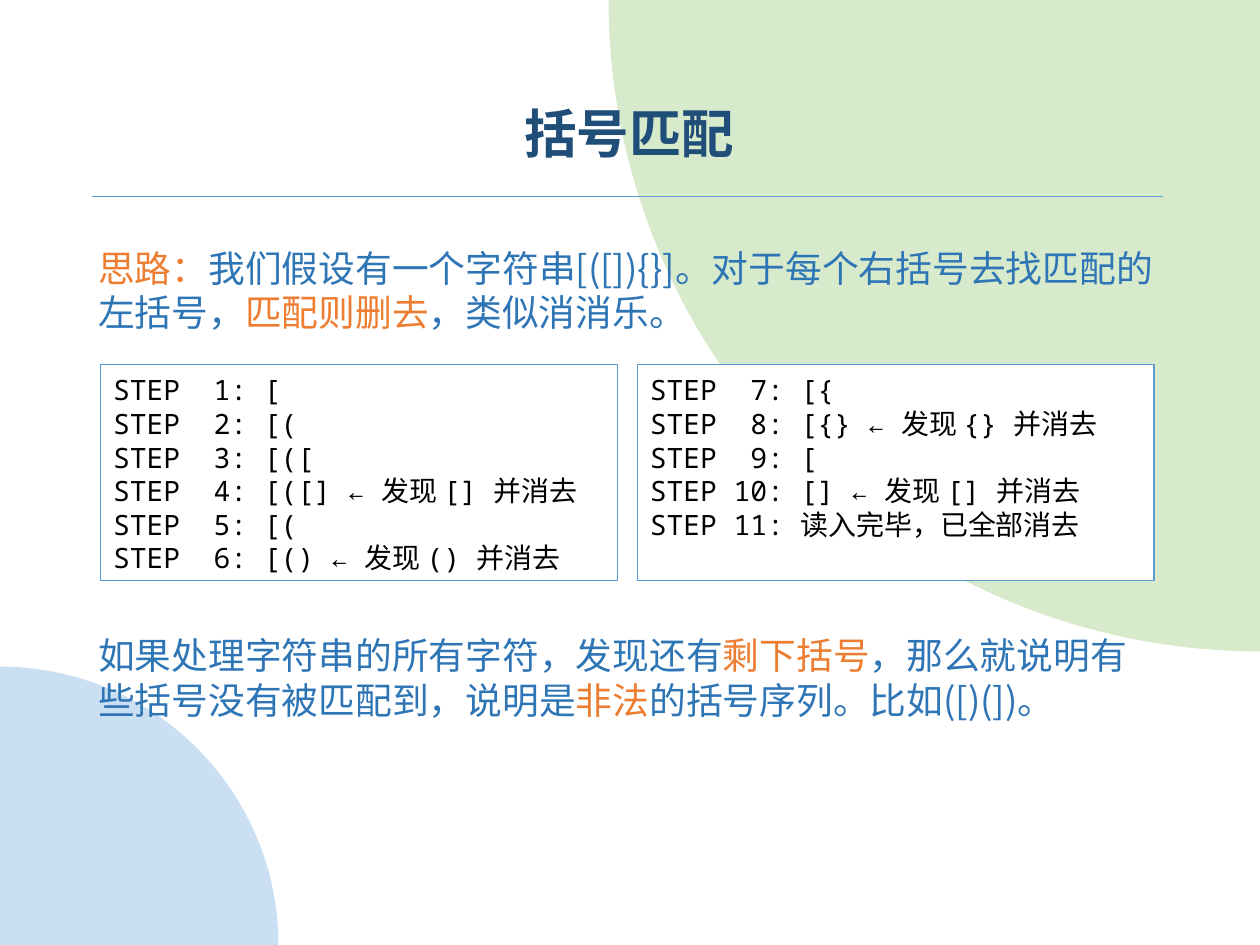
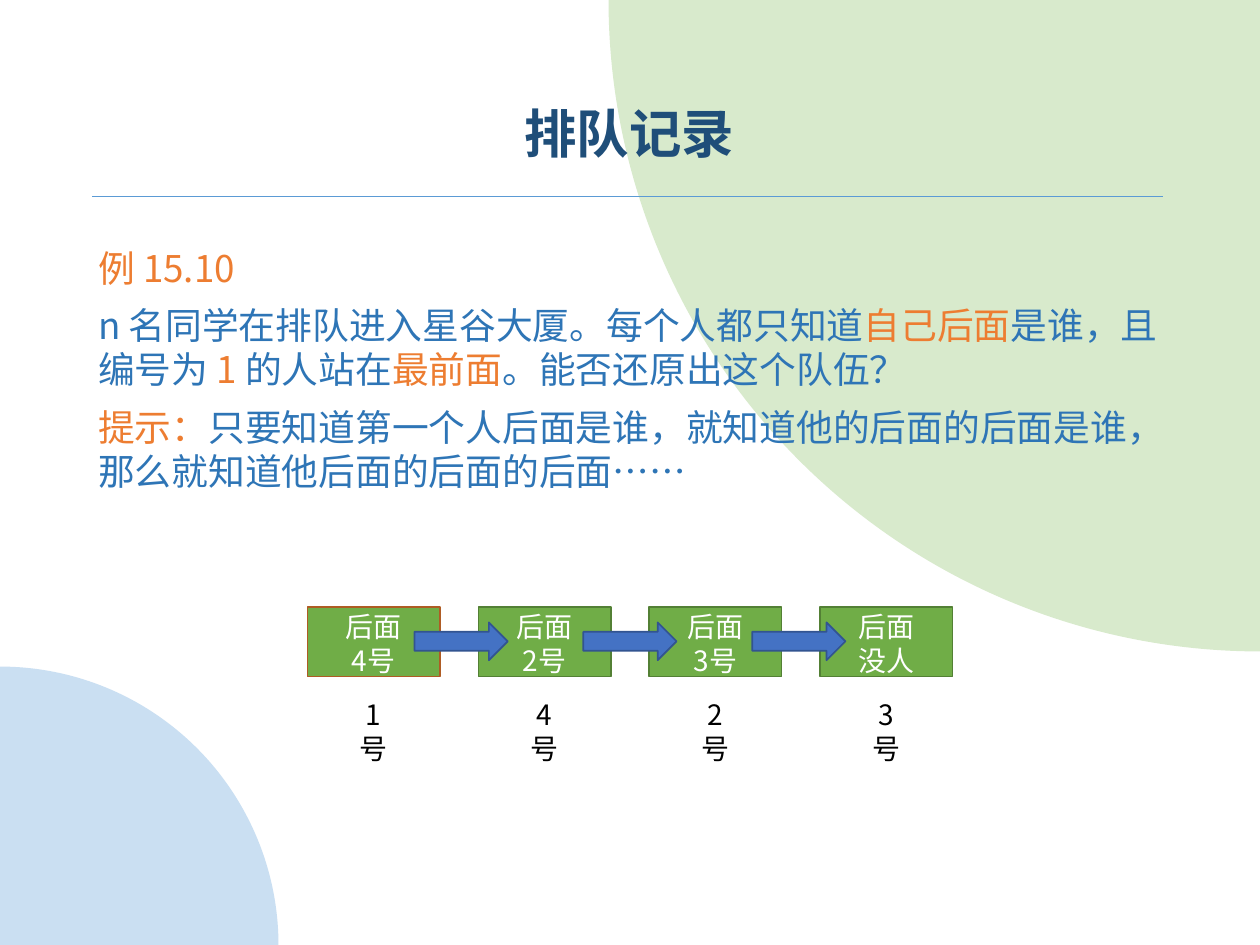
from dataclasses import dataclass

from lxml.etree import SubElement
from pptx import Presentation
from pptx.dml.color import RGBColor
from pptx.enum.shapes import MSO_CONNECTOR, MSO_SHAPE as Shape
from pptx.enum.text import MSO_ANCHOR as Anchor, MSO_AUTO_SIZE as AutoSize, PP_ALIGN as Align
from pptx.oxml.ns import qn
from pptx.util import Inches, Pt


@dataclass(frozen=True)
class Theme:
    sans: str = "Noto Sans CJK SC"
    mono: str = "Noto Sans Mono"
    title_size: int = 30
    body_size: int = 21
    small_size: int = 16
    leading: float = 1.2
    title: str = "1F4E79"
    body: str = "2E75B6"
    accent: str = "ED7D31"
    ink: str = "000000"
    paper: str = "FFFFFF"
    rule: str = "5B9BD5"
    green_disc: str = "D8EACC"
    blue_disc: str = "CADFF2"
    person: str = "70AD47"
    person_edge: str = "538035"
    first_edge: str = "AF5C24"
    arrow: str = "4472C4"
    arrow_edge: str = "325491"


THEME = Theme()
TITLE_BOX = (0.68, 0.51, 8.63, 0.8)
BODY_BOX = (0.68, 1.88, 8.63, 4.89)


def apply(target, formats):
    for name, value in formats.items():
        setattr(target, name, value)


def rgb(code):
    return RGBColor.from_string(code)


def place(box):
    return [Inches(length) for length in box]


def add_span(para, text, size, color, font=THEME.sans, bold=False):
    span = para.add_run()
    span.text = text
    apply(span.font, {"size": Pt(size), "name": font, "bold": bold})
    span.font.color.rgb = rgb(color)
    SubElement(span.font._element, qn("a:ea")).set("typeface", THEME.sans)


def prepare_frame(frame, anchor=Anchor.TOP, top=0.07, bottom=0.03):
    apply(frame, {"word_wrap": True, "auto_size": AutoSize.NONE, "vertical_anchor": anchor,
                  "margin_top": Inches(top), "margin_bottom": Inches(bottom)})


def next_para(frame, index, size, align=Align.LEFT):
    para = frame.add_paragraph() if index else frame.paragraphs[0]
    apply(para, {"alignment": align, "line_spacing": Pt(size * THEME.leading)})
    return para


def write_small(frame, lines, color, align, font=THEME.sans):
    for index, line in enumerate(lines):
        para = next_para(frame, index, THEME.small_size, align)
        add_span(para, line, THEME.small_size, color, font)


def add_filled(page, kind, box, fill, edge=None, width=1):
    shape = page.shapes.add_shape(kind, *place(box))
    shape.shadow.inherit = False
    shape.fill.solid()
    shape.fill.fore_color.rgb = rgb(fill)
    if edge:
        shape.line.color.rgb = rgb(edge)
        shape.line.width = Pt(width)
    else:
        shape.line.fill.background()
    return shape


def add_quarter_disc(page, center, radius, rotation, color):
    left, top = (middle - radius for middle in center)
    disc = add_filled(page, Shape.PIE, (left, top, 2 * radius, 2 * radius), color)
    disc.adjustments[0], disc.adjustments[1] = 108, 162
    disc.rotation = rotation
    return disc


def decorate_layout(layout, page):
    """Draw the discs and title rule on a page, then move them to its layout."""
    rule = page.shapes.add_connector(MSO_CONNECTOR.STRAIGHT, *place((9.23, 1.56, 0.73, 1.56)))
    rule.line.color.rgb = rgb(THEME.rule)
    rule.line.width = Pt(1)
    SubElement(rule.element.spPr, qn("a:effectLst"))
    parts = [
        add_quarter_disc(page, (10, 0), 5.17, 270, THEME.green_disc),
        add_quarter_disc(page, (0, 7.5), 2.21, 90, THEME.blue_disc),
        rule,
    ]
    for index, part in enumerate(parts):
        layout.shapes.element.insert(2 + index, part.element)


def add_title(page, text):
    title = page.shapes.title
    apply(title, dict(zip(("left", "top", "width", "height"), place(TITLE_BOX))))
    prepare_frame(title.text_frame, Anchor.BOTTOM, bottom=0)
    para = title.text_frame.paragraphs[0]
    apply(para, {"alignment": Align.CENTER, "line_spacing": 0.9})
    add_span(para, text, THEME.title_size, THEME.title, bold=True)


def add_body(page, box, paragraphs, gap=7.5):
    """Write paragraphs in which asterisks enclose the accented words."""
    frame = page.shapes.add_textbox(*place(box)).text_frame
    prepare_frame(frame)
    for index, text in enumerate(paragraphs):
        para = next_para(frame, index, THEME.body_size)
        if index:
            para.space_before = Pt(gap)
        for order, part in enumerate(text.split("*")):
            if part:
                add_span(para, part, THEME.body_size, THEME.accent if order % 2 else THEME.body)


def add_step_panels(page, box, steps, per_panel=6, gap=0.16):
    left, top, width, height = box
    panel_width = (width - gap) / 2
    lines = [f"STEP {number:2}: {text}" for number, text in enumerate(steps, 1)]
    for column in range(2):
        panel_box = (left + column * (panel_width + gap), top, panel_width, height)
        panel = add_filled(page, Shape.RECTANGLE, panel_box, THEME.paper, THEME.rule, 0.75)
        prepare_frame(panel.text_frame)
        panel_lines = lines[column * per_panel:(column + 1) * per_panel]
        write_small(panel.text_frame, panel_lines, THEME.ink, Align.LEFT, THEME.mono)


def add_queue(page, box, people):
    """Draw a row of (label, note) people joined by arrows."""
    left, top, width, height = box
    person_width, person_height = 1.05, 0.55
    label_width, label_height = 0.54, 0.37
    pitch = (width - person_width) / (len(people) - 1)
    for index, (label, note) in enumerate(people):
        x = left + index * pitch
        edge = THEME.person_edge if index else THEME.first_edge
        person = add_filled(page, Shape.RECTANGLE, (x, top, person_width, person_height),
                            THEME.person, edge)
        prepare_frame(person.text_frame, Anchor.MIDDLE, 0.02, 0)
        write_small(person.text_frame, note, THEME.paper, Align.CENTER)

        label_box = (x + (person_width - label_width) / 2, top + height - label_height,
                     label_width, label_height)
        frame = page.shapes.add_textbox(*place(label_box)).text_frame
        prepare_frame(frame)
        write_small(frame, [label], THEME.ink, Align.CENTER)
    for index in range(len(people) - 1):
        arrow_box = (left + 0.85 + index * 1.34, top + 0.12, 0.74, 0.3)
        add_filled(page, Shape.RIGHT_ARROW, arrow_box, THEME.arrow, THEME.arrow_edge)


def build_bracket_page(page):
    add_title(page, "括号匹配")
    add_body(page, BODY_BOX, [
        "*思路：*我们假设有一个字符串[([]){}]。对于每个右括号去找匹配的左括号，"
        "*匹配则删去*，类似消消乐。",
        "如果处理字符串的所有字符，发现还有*剩下括号*，那么就说明有些括号没有被匹配到，"
        "说明是*非法*的括号序列。比如([)(])。",
    ], gap=171)
    add_step_panels(page, (0.8, 2.89, 8.36, 1.72), [
        "[", "[(", "[([", "[([] ← 发现 [] 并消去", "[(", "[() ← 发现 () 并消去",
        "[{", "[{} ← 发现 {} 并消去", "[", "[] ← 发现 [] 并消去", "读入完毕，已全部消去",
    ])


def build_queue_page(page):
    add_title(page, "排队记录")
    add_body(page, BODY_BOX, [
        "*例 15.10*",
        "n 名同学在排队进入星谷大厦。每个人都只知道*自己后面*是谁，且编号为 *1 *的人站在"
        "*最前面*。能否还原出这个队伍？",
        "*提示：*只要知道第一个人后面是谁，就知道他的后面的后面是谁，"
        "那么就知道他后面的后面的后面……",
    ])
    add_queue(page, (2.44, 4.82, 5.12, 1.02), [
        ("1号", ("后面", "4号")),
        ("4号", ("后面", "2号")),
        ("2号", ("后面", "3号")),
        ("3号", ("后面", "没人")),
    ])


def main():
    deck = Presentation()
    apply(deck, {"slide_width": Inches(10), "slide_height": Inches(7.5)})
    layout = deck.slide_layouts.get_by_name("Title Only")
    pages = [deck.slides.add_slide(layout) for _ in range(2)]
    decorate_layout(layout, pages[0])
    build_bracket_page(pages[0])
    build_queue_page(pages[1])
    deck.save("out.pptx")


if __name__ == "__main__":
    main()
